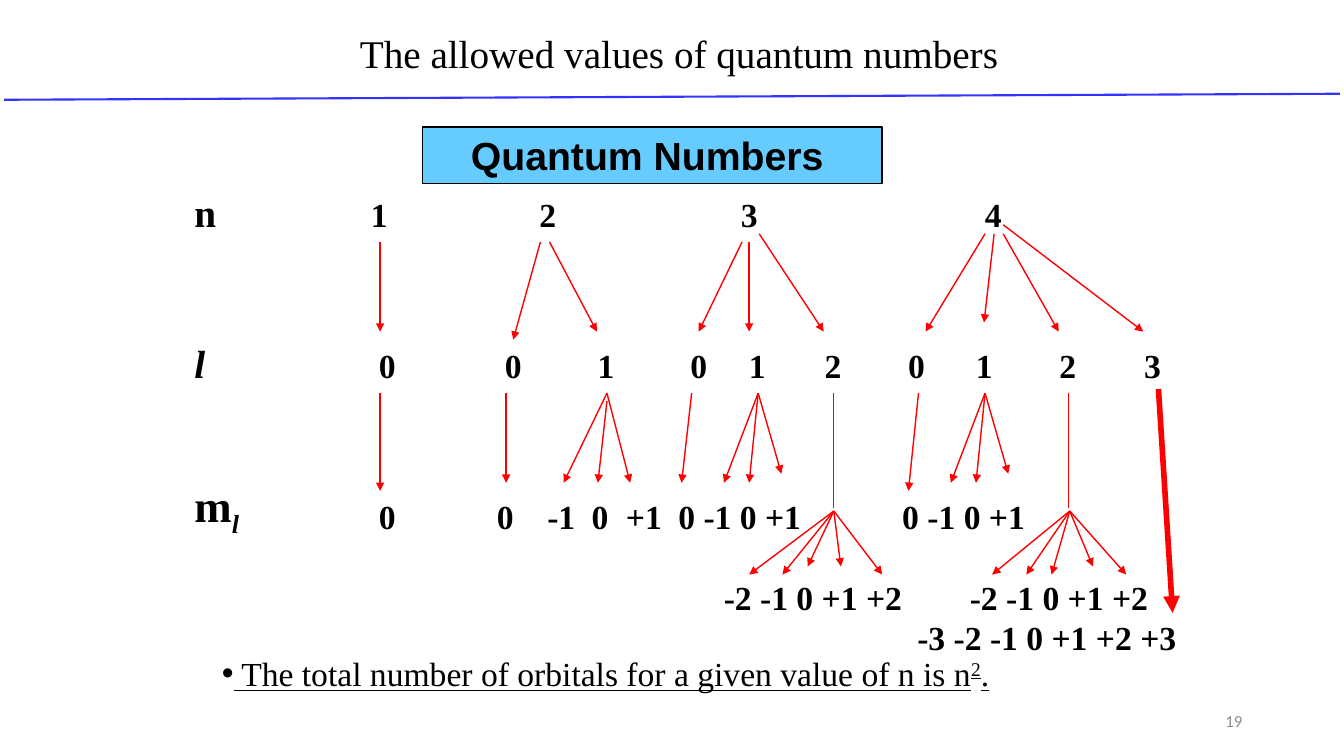
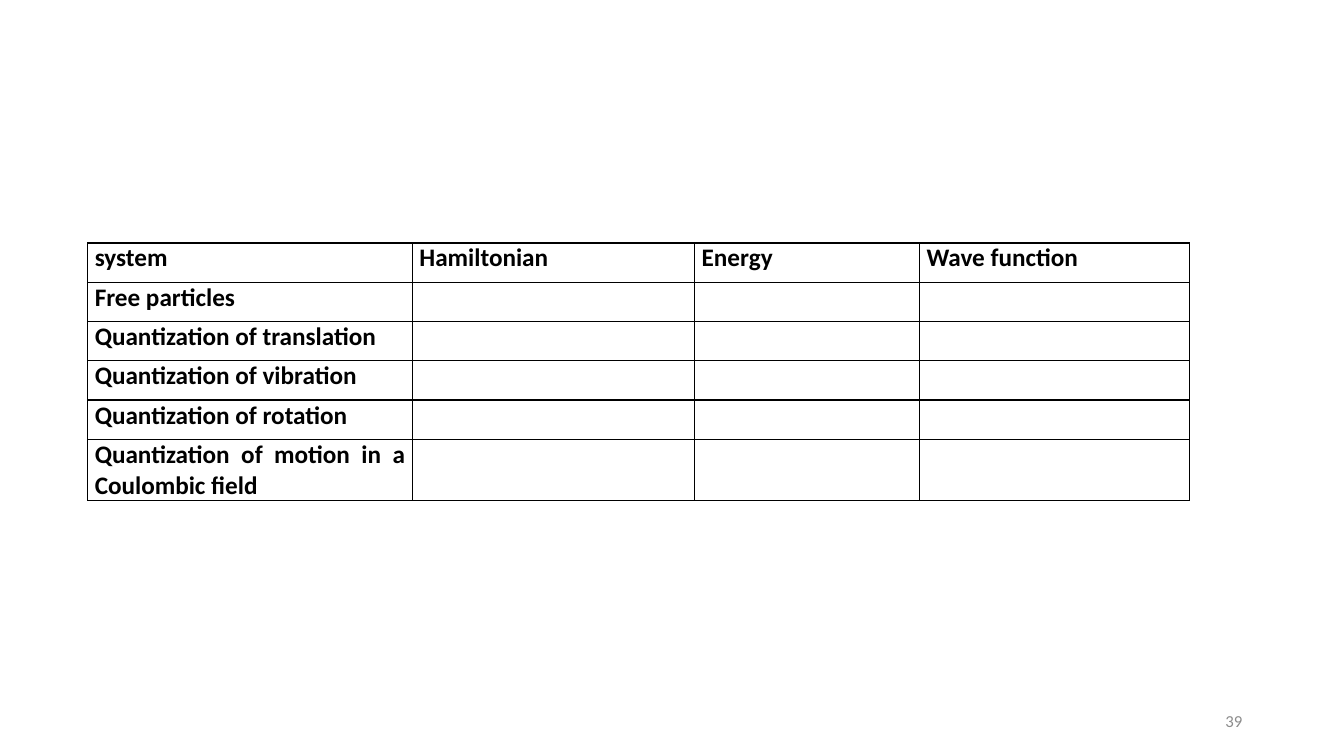
import pptx
import pptx.util
import pptx.dml.color
import pptx.enum.shapes
import pptx.enum.text
import pptx.oxml.ns
from lxml import etree

Inches = pptx.util.Inches
Pt = pptx.util.Pt
qn = pptx.oxml.ns.qn
ALIGN = pptx.enum.text.PP_ALIGN
ANCHOR = pptx.enum.text.MSO_ANCHOR

# Shared look
BLACK, RED, BLUE, SKY, GREY = "000000", "FF0000", "3333FF", "66CCFF", "8C8C8C"
SERIF = {"name": "Times New Roman", "size": Pt(24), "bold": False}
TITLE = {**SERIF, "size": Pt(28)}
NUMBER = {**SERIF, "bold": True}
LABEL = {**NUMBER, "size": Pt(28)}
BANNER = {"name": "Arial", "size": Pt(28), "bold": True}
CELL = {"name": "Calibri", "size": Pt(18), "bold": True}
FOOTER = {"name": "Calibri", "size": Pt(12)}

# Quantum number slide: each run is (text, format changes, baseline shift in %)
HEADING = "The allowed values of quantum numbers"
SUMMARY = [
    (" The total number of orbitals for a given value of n is n", {}, 0),
    ("2", {}, 30),
    (".", {}, 0),
]
ROW_LABELS = [  # top, runs
    (1.82, [("n", {}, 0)]),
    (3.32, [("l", {"italic": True}, 0)]),
    (4.69, [("m", {"size": Pt(32)}, 0), ("l", {"size": Pt(32), "italic": True}, -25)]),
]
NUMBER_ROWS = [  # top, [(left edge of the text, text)]
    (1.87, [(3.68, "1"), (5.35, "2"), (7.35, "3"), (9.77, "4")]),
    (3.37, [(3.76, "0"), (5.01, "0"), (5.93, "1"), (6.85, "0"), (7.43, "1"),
            (8.18, "2"), (9.01, "0"), (9.68, "1"), (10.51, "2"), (11.35, "3")]),
    (4.87, [(3.76, "0"), (4.93, "0"), (5.43, "-1"), (5.87, "0"), (6.21, "+1"),
            (6.73, "0"), (6.98, "-1 0 +1"), (8.95, "0 -1 0 +1")]),
    (5.67, [(7.18, "-2 -1 0 +1 +2"), (9.62, "-2 -1 0 +1 +2")]),
    (6.07, [(9.1, "-3 -2 -1 0 +1 +2 +3")]),
]
ARROW_FANS = [  # start, tips
    # from n to l
    ((3.77, 2.4), [(3.77, 3.29)]),
    ((5.36, 2.4), [(5.09, 3.37)]),
    ((5.45, 2.4), [(5.92, 3.29)]),
    ((7.36, 2.4), [(6.93, 3.29)]),
    ((7.43, 2.4), [(7.43, 3.29)]),
    ((7.53, 2.32), [(8.17, 3.29)]),
    ((9.77, 2.32), [(9.18, 3.29)]),
    ((9.86, 2.32), [(9.76, 3.2)]),
    ((9.95, 2.32), [(10.5, 3.29)]),
    ((9.95, 2.23), [(11.34, 3.29)]),
    # from l to m
    ((3.77, 3.9), [(3.77, 4.87)]),
    ((5.02, 3.9), [(5.02, 4.79)]),
    ((6.02, 3.9), [(5.59, 4.79), (6.25, 4.79)]),
    ((6.02, 3.98), [(5.93, 4.79)]),
    ((6.86, 3.9), [(6.76, 4.79)]),
    ((7.52, 3.9), [(7.18, 4.79), (7.43, 4.79), (7.75, 4.7)]),
    ((9.11, 3.9), [(9.01, 4.87)]),
    ((9.77, 3.9), [(9.43, 4.79), (9.68, 4.79), (10, 4.7)]),
    # the five values of m for l = 2
    ((8.27, 5.07), [(7.43, 5.7), (7.76, 5.7), (8.01, 5.62), (8.34, 5.62), (8.75, 5.7)]),
    ((10.61, 5.07), [(9.84, 5.7), (10.18, 5.7), (10.43, 5.7), (10.84, 5.62), (11.17, 5.7)]),
]
STEMS = [8.27, 10.6]

# Table slide
COLUMN_WIDTHS = [3.22, 2.8, 2.23, 2.68]
ROW_HEIGHTS = [0.39] * 5 + [0.6]
TABLE_ROWS = [
    ["system", "Hamiltonian", "Energy", "Wave function"],
    ["Free particles"],
    ["Quantization of translation"],
    ["Quantization of vibration"],
    ["Quantization of rotation"],
    ["Quantization of motion in a Coulombic field"],
]


def rgb(color):
    return pptx.dml.color.RGBColor.from_string(color)


def place(shape, left, top, width, height):
    shape.left, shape.top = Inches(left), Inches(top)
    shape.width, shape.height = Inches(width), Inches(height)


def write(para, runs, style, color=BLACK, align=ALIGN.LEFT):
    para.alignment = align
    para.space_before = Pt(0)
    for text, changes, shift in runs:
        span = para.add_run()
        span.text = text
        for key, value in {**style, **changes}.items():
            setattr(span.font, key, value)
        span.font.color.rgb = rgb(color)
        if shift:
            span.font._element.set("baseline", str(shift * 1000))


def set_frame(shape, anchor=ANCHOR.TOP):
    frame = shape.text_frame
    frame.word_wrap = True
    frame.auto_size = pptx.enum.text.MSO_AUTO_SIZE.NONE
    frame.vertical_anchor = anchor
    return frame.paragraphs[0]


def add_text(page, at, runs, style, anchor=ANCHOR.TOP, **look):
    box = page.shapes.add_textbox(*map(Inches, at))
    para = set_frame(box, anchor)
    write(para, runs, style, **look)
    return para


def add_number_row(page, top, numbers):
    """One line of text whose items sit on tab stops."""
    first = numbers[0][0]
    line = "\t".join(text for _, text in numbers)
    para = add_text(page, (first - 0.1, top, 12.4 - first, 0.5), [], NUMBER)
    if len(numbers) > 1:
        stops = etree.SubElement(para._p.get_or_add_pPr(), qn("a:tabLst"))
        for left, _ in numbers[1:]:
            etree.SubElement(stops, qn("a:tab"), pos=str(Inches(left - first)), algn="l")
    write(para, [(line, {}, 0)], NUMBER)


def add_line(page, start, end, color=RED, width=1, arrow=True):
    line = page.shapes.add_connector(
        pptx.enum.shapes.MSO_CONNECTOR.STRAIGHT, *map(Inches, (*start, *end)))
    line.line.color.rgb = rgb(color)
    line.line.width = Pt(width)
    properties = line._element.spPr
    if arrow:
        etree.SubElement(properties.find(qn("a:ln")), qn("a:tailEnd"), type="triangle")
    etree.SubElement(properties, qn("a:effectLst"))


def add_page_number(page, number):
    add_text(page, (9.42, 6.95, 3, 0.4), [(number, {}, 0)], FOOTER,
             anchor=ANCHOR.MIDDLE, color=GREY, align=ALIGN.RIGHT)


def add_borders(cell):
    properties = cell._tc.get_or_add_tcPr()
    for index, side in enumerate(("lnL", "lnR", "lnT", "lnB")):
        border = etree.Element(qn("a:" + side), w=str(Pt(1)))
        fill = etree.SubElement(border, qn("a:solidFill"))
        etree.SubElement(fill, qn("a:srgbClr"), val=BLACK)
        properties.insert(index, border)


def build_quantum_numbers(deck):
    page = deck.slides.add_slide(deck.slide_layouts[1])
    # Title and rule
    title = page.shapes.title
    place(title, 2.07, 0.24, 9.33, 0.75)
    write(set_frame(title), [(HEADING, {}, 0)], TITLE, align=ALIGN.CENTER)
    add_line(page, (0.04, 0.99), (13.29, 0.93), BLUE, 1.5, arrow=False)

    # Banner
    banner = page.shapes.add_shape(
        pptx.enum.shapes.MSO_SHAPE.RECTANGLE, *map(Inches, (4.19, 1.26, 4.56, 0.56)))
    banner.shadow.inherit = False
    banner.fill.solid()
    banner.fill.fore_color.rgb = rgb(SKY)
    banner.line.color.rgb = rgb(BLACK)
    banner.line.width = Pt(1)
    banner.text_frame.margin_right = Inches(0.2)
    write(set_frame(banner, ANCHOR.MIDDLE), [("Quantum Numbers", {}, 0)], BANNER,
          align=ALIGN.CENTER)

    # Rows of numbers
    for top, runs in ROW_LABELS:
        add_text(page, (1.83, top, 0.8, 0.6), runs, LABEL)
    for top, numbers in NUMBER_ROWS:
        add_number_row(page, top, numbers)

    # Arrows
    for start, tips in ARROW_FANS:
        for tip in tips:
            add_line(page, start, tip)
    for x in STEMS:
        add_line(page, (x, 3.9), (x, 5.04), arrow=False)
    add_line(page, (11.49, 3.86), (11.63, 6.08), width=4)

    # Summary
    body = page.placeholders[1]
    place(body, 2.1, 6.43, 8.83, 0.5)
    para = set_frame(body)
    properties = para._p.get_or_add_pPr()
    properties.set("marL", "0")
    properties.set("indent", "0")
    etree.SubElement(properties, qn("a:buChar"), char="•")
    write(para, SUMMARY, {**SERIF, "underline": True})
    add_page_number(page, "19")


def build_systems_table(deck):
    page = deck.slides.add_slide(deck.slide_layouts[6])
    size = (sum(COLUMN_WIDTHS), sum(ROW_HEIGHTS))
    table = page.shapes.add_table(
        len(TABLE_ROWS), len(COLUMN_WIDTHS), *map(Inches, (0.87, 2.41, *size))).table
    table.first_row = table.horz_banding = False
    for column, width in zip(table.columns, COLUMN_WIDTHS):
        column.width = Inches(width)
    for row, height, texts in zip(table.rows, ROW_HEIGHTS, TABLE_ROWS):
        row.height = Inches(height)
        for index, cell in enumerate(row.cells):
            cell.fill.background()
            cell.margin_left = cell.margin_right = Inches(0.07)
            cell.margin_top = cell.margin_bottom = 0
            add_borders(cell)
            if index < len(texts):
                write(cell.text_frame.paragraphs[0], [(texts[index], {}, 0)], CELL,
                      align=ALIGN.JUSTIFY)
    add_page_number(page, "39")


def main():
    deck = pptx.Presentation()
    deck.slide_width, deck.slide_height = Inches(13.33), Inches(7.5)
    build_quantum_numbers(deck)
    build_systems_table(deck)
    deck.save("out.pptx")


if __name__ == "__main__":
    main()
